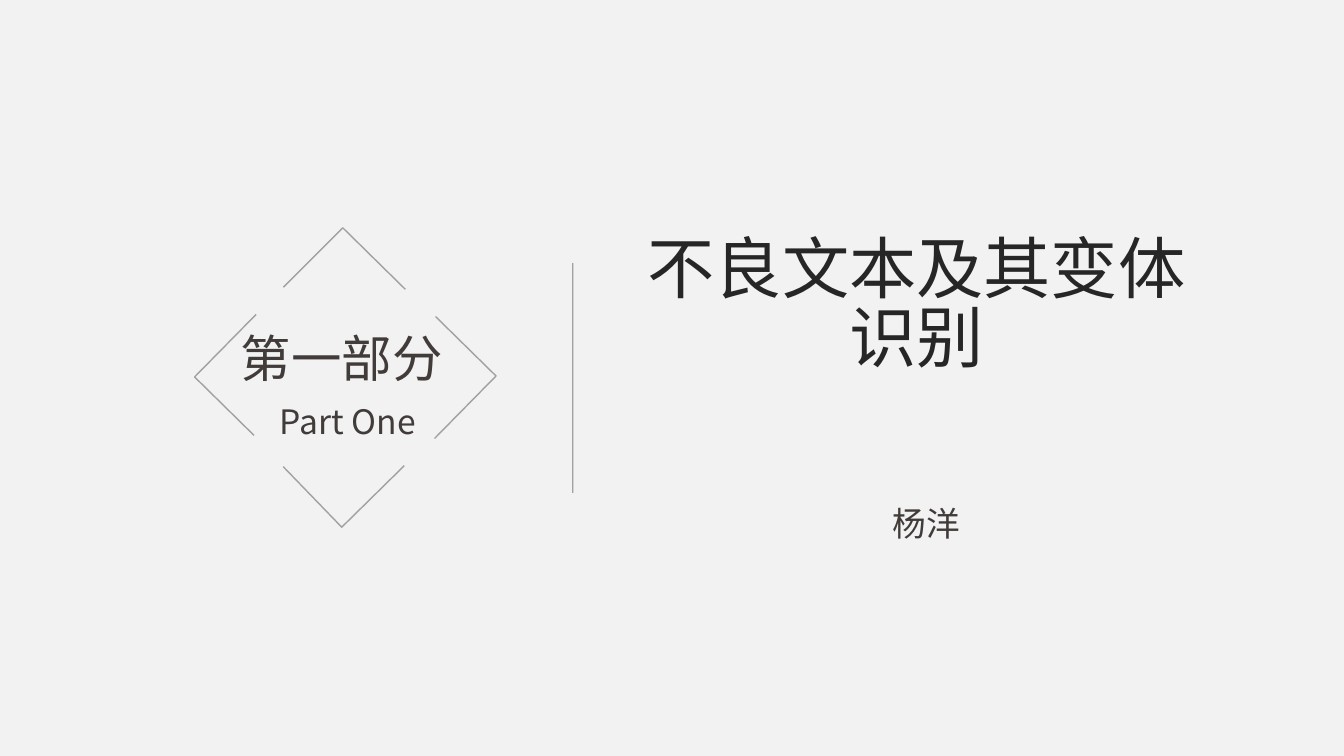
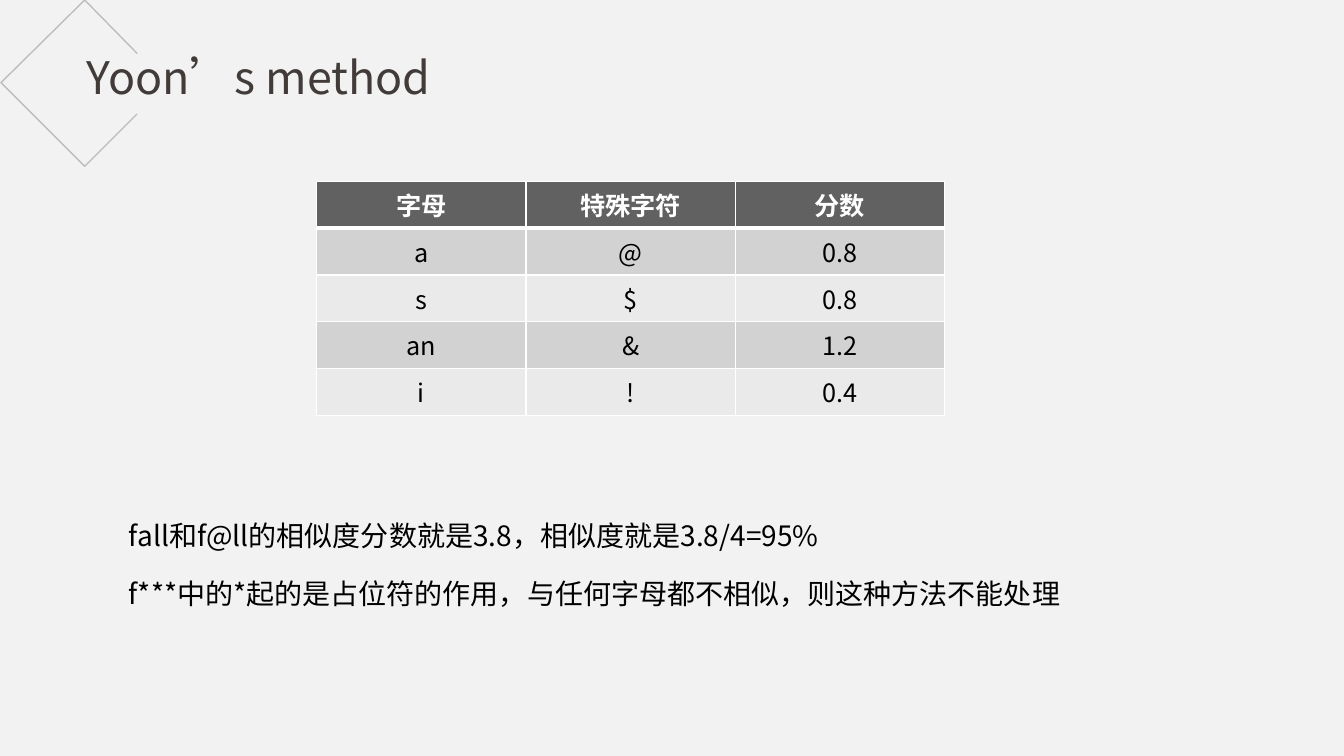
from lxml import etree
from pptx import Presentation
from pptx.dml.color import RGBColor
from pptx.enum.shapes import MSO_CONNECTOR
from pptx.enum.text import PP_ALIGN
from pptx.oxml.ns import qn
from pptx.util import Inches, Pt

CENTER = PP_ALIGN.CENTER
LEFT = PP_ALIGN.LEFT
STRAIGHT = MSO_CONNECTOR.STRAIGHT

MAIN_FONT = "Noto Sans CJK JP"
QUOTE_FONT = "Noto Sans CJK SC"
PAPER = "F2F2F2"
WHITE = "FFFFFF"
BLACK = "000000"
TITLE_INK = "262626"
SOFT_INK = "413B39"
LINE_GREY = "808080"
HEADER_FILL = "616161"
BAND_FILLS = ("D2D2D2", "EAEAEA")
LINE_SPACING = 0.85
LINE_ALPHA = 71
CORNER_ALPHA = 45

SECTION_TEXTS = [
    ("不良文本及其变体识别", (6.07, 2.29, 6.04, 1.72), 48, TITLE_INK),
    ("第一部分", (2.26, 3.26, 2.26, 0.71), 36, SOFT_INK),
    ("Part One", (2.1, 3.96, 2.7, 0.5), 24, SOFT_INK),
    ("杨洋", (7.09, 4.97, 4.19, 0.5), 24, SOFT_INK),
]
DIAMOND_CORNERS = [
    [(2.81, 2.85), (3.4, 2.26), (4.02, 2.87)],
    [(2.52, 4.32), (1.93, 3.74), (2.54, 3.12)],
    [(4.32, 3.14), (4.92, 3.73), (4.31, 4.35)],
    [(2.81, 4.63), (3.39, 5.23), (4.01, 4.62)],
]
DIVIDER = (5.68, 2.61, 5.68, 4.89)

METHOD_TITLE = [("Yoon", MAIN_FONT), ("’", QUOTE_FONT), ("s method", MAIN_FONT)]
TITLE_CORNER = [(1.36, 0.53), (0.84, 0), (0.01, 0.82), (0.84, 1.65), (1.36, 1.13)]
SCORES = [
    ("字母", "特殊字符", "分数"),
    ("a", "@", "0.8"),
    ("s", "$", "0.8"),
    ("an", "&", "1.2"),
    ("i", "!", "0.4"),
]
REMARKS = [
    "fall和f@ll的相似度分数就是3.8，相似度就是3.8/4=95%",
    "f***中的*起的是占位符的作用，与任何字母都不相似，则这种方法不能处理",
]


def color(value):
    return RGBColor.from_string(value)


def set_typeface(font, name, properties):
    font.name = name
    east_asian = etree.Element(qn("a:ea"), typeface=name)
    properties.find(qn("a:latin")).addnext(east_asian)


def style_paragraph(para, size, ink, align, bold=False):
    para.alignment = align
    font = para.font
    font.size = Pt(size)
    font.bold = bold
    font.color.rgb = color(ink)
    set_typeface(font, MAIN_FONT, para._p.pPr.find(qn("a:defRPr")))


def add_text(page, spans, place, size, ink, align=CENTER):
    box = page.shapes.add_textbox(*map(Inches, place))
    frame = box.text_frame
    frame.word_wrap = True
    frame.margin_top = Inches(0.08)
    para = frame.paragraphs[0]
    para.line_spacing = LINE_SPACING
    style_paragraph(para, size, ink, align)
    for text, typeface in spans:
        span = para.add_run()
        span.text = text
        if typeface != MAIN_FONT:
            set_typeface(span.font, typeface, span._r.get_or_add_rPr())


def style_line(line, alpha):
    line.width = Pt(1)
    line.color.rgb = color(LINE_GREY)
    tint = line._get_or_add_ln().find(".//" + qn("a:srgbClr"))
    etree.SubElement(tint, qn("a:alpha"), val=str(alpha * 1000))


def add_outline(page, points, alpha):
    start, *rest = [(Inches(x), Inches(y)) for x, y in points]
    builder = page.shapes.build_freeform(*start)
    builder.add_line_segments(rest, close=False)
    outline = builder.convert_to_shape()
    outline.shadow.inherit = False
    outline.fill.background()
    style_line(outline.line, alpha)


def add_divider(page):
    divider = page.shapes.add_connector(STRAIGHT, *map(Inches, DIVIDER))
    style_line(divider.line, LINE_ALPHA)
    etree.SubElement(divider._element.spPr, qn("a:effectLst"))


def add_border(cell, side, width):
    properties = cell._tc.get_or_add_tcPr()
    border = etree.SubElement(properties, qn("a:ln" + side), w=str(Pt(width)))
    fill = etree.SubElement(border, qn("a:solidFill"))
    etree.SubElement(fill, qn("a:srgbClr"), val=WHITE)


def add_scores(page):
    place = map(Inches, (3.14, 1.8, 6.23, 2.32))
    table = page.shapes.add_table(len(SCORES), len(SCORES[0]), *place).table
    for row, texts in enumerate(SCORES):
        header = row == 0
        widths = {"L": 1, "R": 1, "T": 3 if row == 1 else 1, "B": 3 if header else 1}
        for column, text in enumerate(texts):
            cell = table.cell(row, column)
            cell.text = text
            style_paragraph(cell.text_frame.paragraphs[0], 18,
                            WHITE if header else BLACK, CENTER, header)
            for side, width in widths.items():
                add_border(cell, side, width)
            cell.fill.solid()
            cell.fill.fore_color.rgb = color(HEADER_FILL if header else BAND_FILLS[(row - 1) % 2])


def build_section(page):
    for points in DIAMOND_CORNERS:
        add_outline(page, points, LINE_ALPHA)
    add_divider(page)
    for text, place, size, ink in SECTION_TEXTS:
        add_text(page, [(text, MAIN_FONT)], place, size, ink)


def build_method(page):
    add_text(page, METHOD_TITLE, (0.44, 0.5, 4.25, 0.64), 32, SOFT_INK)
    add_outline(page, TITLE_CORNER, CORNER_ALPHA)
    for index, text in enumerate(REMARKS):
        place = (1.18, 5.12 + index * 0.57, 10.98, 0.44)
        add_text(page, [(text, MAIN_FONT)], place, 20, BLACK, LEFT)
    add_scores(page)


def main():
    deck = Presentation()
    deck.slide_width = Inches(13.33)
    deck.slide_height = Inches(7.5)
    backdrop = deck.slide_master.background.fill
    backdrop.solid()
    backdrop.fore_color.rgb = color(PAPER)
    for build in (build_section, build_method):
        build(deck.slides.add_slide(deck.slide_layouts[6]))
    deck.save("out.pptx")


if __name__ == "__main__":
    main()
